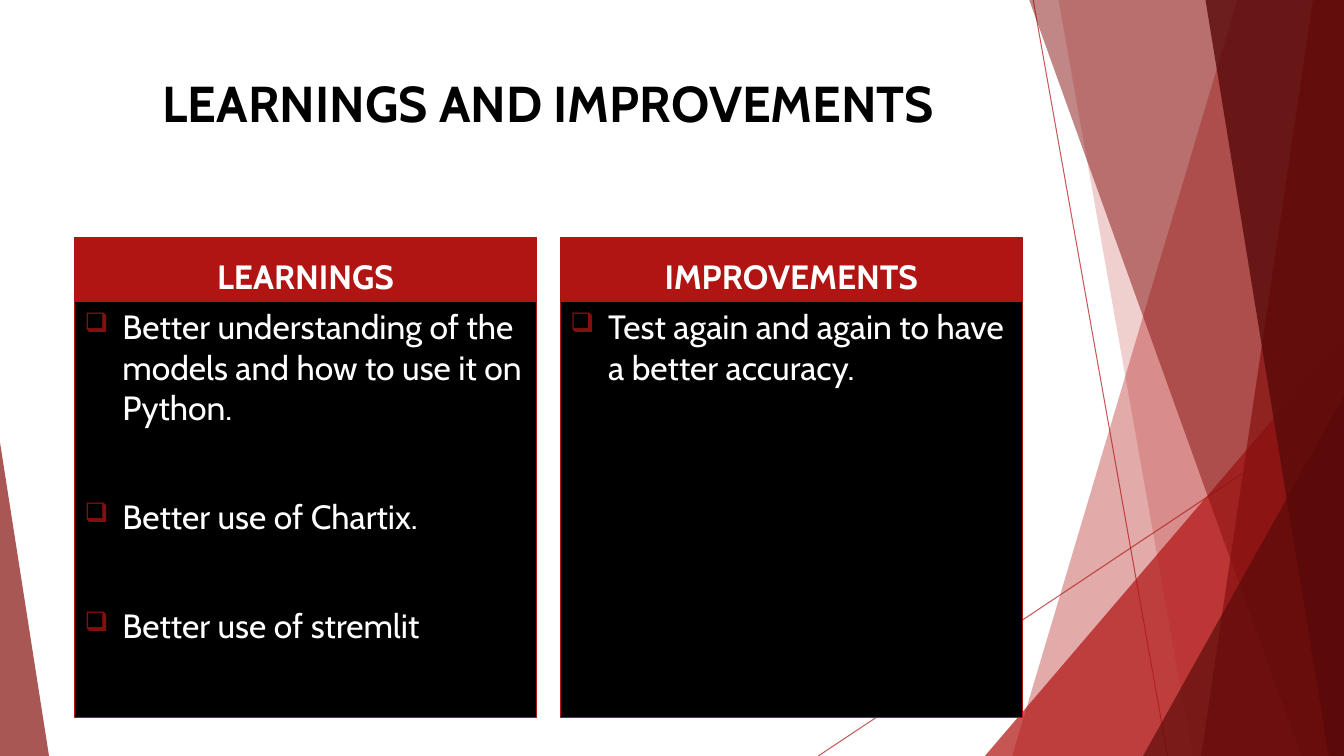
"""Build the slide on learnings and improvements."""
import lxml.etree
import pptx
import pptx.dml.color
import pptx.enum.shapes
import pptx.enum.text
import pptx.oxml.ns
import pptx.util

Pt = pptx.util.Pt
qn = pptx.oxml.ns.qn
SHAPE = pptx.enum.shapes.MSO_SHAPE
ANCHOR = pptx.enum.text.MSO_ANCHOR
ALIGN = pptx.enum.text.PP_ALIGN

FONT = "Cabin"
RED, DARK_RED, MAROON = "B01513", "84100E", "580A09"
BLACK, WHITE = "000000", "FFFFFF"
PAGE_WIDTH, PAGE_HEIGHT = 960, 540
BLEED = -0.6
COLUMN_WIDTH = 329.8
HEADING_TOP, HEADING_HEIGHT = 170, 45.3
BODY_HEIGHT = 297.4
INDENT = 27
ITEM_GAP = 49


def color(value):
    """Turn a hex string into a colour."""
    return pptx.dml.color.RGBColor.from_string(value)


def set_opacity(shape, percent):
    """Make the colours of a shape partly transparent."""
    for node in shape.element.spPr.iter(qn("a:srgbClr")):
        lxml.etree.SubElement(node, qn("a:alpha"), val=str(percent * 1000))


def paint(shape, fill, line=None, opacity=None):
    """Give a shape its fill, outline and opacity, without a shadow."""
    shape.shadow.inherit = False
    shape.fill.solid()
    shape.fill.fore_color.rgb = color(fill)
    if line:
        shape.line.color.rgb = color(line)
        shape.line.width = Pt(0.75)
    else:
        shape.line.fill.background()
    if opacity:
        set_opacity(shape, opacity)


def add_ray(page, start, end):
    """Draw a thin red line across the decoration."""
    ray = page.shapes.add_connector(
        pptx.enum.shapes.MSO_CONNECTOR.STRAIGHT, *map(Pt, start + end))
    ray.line.color.rgb = color(RED)
    ray.line.width = Pt(0.75)
    set_opacity(ray, 70)
    lxml.etree.SubElement(ray.element.spPr, qn("a:effectLst"))


def add_sheet(page, top_x, bottom_x, fill, opacity):
    """Draw a slanted sheet that reaches the right edge of the page."""
    builder = page.shapes.build_freeform(Pt(top_x), Pt(BLEED))
    corners = [(PAGE_WIDTH, BLEED), (PAGE_WIDTH, PAGE_HEIGHT), (bottom_x, PAGE_HEIGHT)]
    builder.add_line_segments([(Pt(x), Pt(y)) for x, y in corners])
    paint(builder.convert_to_shape(), fill, opacity=opacity)


def add_triangle(page, left, top, width, apex, fill, opacity):
    """Draw a triangle that stands on the bottom edge of the page."""
    triangle = page.shapes.add_shape(
        SHAPE.ISOSCELES_TRIANGLE, Pt(left), Pt(top), Pt(width), Pt(PAGE_HEIGHT - top))
    triangle.adjustments[0] = apex
    paint(triangle, fill, opacity=opacity)


def add_span(para, text, size, ink, bold=False):
    """Add one run of text."""
    span = para.add_run()
    span.text = text
    span.font.name = FONT
    span.font.size = Pt(size)
    span.font.bold = bold
    span.font.color.rgb = color(ink)


def add_bullet(para):
    """Give a paragraph a hanging box bullet."""
    props = para._p.get_or_add_pPr()
    props.set("marL", str(Pt(INDENT)))
    props.set("indent", str(-Pt(INDENT)))
    tint = lxml.etree.SubElement(props, qn("a:buClr"))
    lxml.etree.SubElement(tint, qn("a:srgbClr"), val=DARK_RED)
    lxml.etree.SubElement(props, qn("a:buSzPct"), val="80000")
    lxml.etree.SubElement(props, qn("a:buChar"), char="❑")


def add_title(page, text):
    """Add the slide title."""
    box = page.shapes.add_textbox(Pt(53.3), Pt(48.2), Pt(676.8), Pt(103.7))
    box.text_frame.word_wrap = True
    para = box.text_frame.paragraphs[0]
    para.alignment = ALIGN.CENTER
    add_span(para, text, 36, BLACK, bold=True)


def add_panel(page, left, top, height, fill, anchor):
    """Add a filled rectangle and return its text frame."""
    box = page.shapes.add_shape(
        SHAPE.RECTANGLE, Pt(left), Pt(top), Pt(COLUMN_WIDTH), Pt(height))
    paint(box, fill, line=RED)
    box.text_frame.word_wrap = True
    box.text_frame.vertical_anchor = anchor
    return box.text_frame


def add_column(page, left, heading, items):
    """Add a heading with a bulleted panel below it."""
    frame = add_panel(page, left, HEADING_TOP, HEADING_HEIGHT, RED, ANCHOR.BOTTOM)
    para = frame.paragraphs[0]
    para.alignment = ALIGN.CENTER
    add_span(para, heading, 24, WHITE, bold=True)
    frame = add_panel(
        page, left, HEADING_TOP + HEADING_HEIGHT, BODY_HEIGHT, BLACK, ANCHOR.TOP)
    for index, item in enumerate(items):
        para = frame.add_paragraph() if index else frame.paragraphs[0]
        para.alignment = ALIGN.LEFT
        para.space_before = Pt(ITEM_GAP if index else 0)
        add_bullet(para)
        add_span(para, item, 24, WHITE)


def add_decoration(page):
    """Draw the red facets at the sides of the page."""
    add_ray(page, (738, 0), (834, PAGE_HEIGHT))
    add_ray(page, (PAGE_WIDTH, 290), (584.5, PAGE_HEIGHT))
    add_sheet(page, 884, 723, RED, 36)
    add_sheet(page, 756, 852, RED, 20)
    add_triangle(page, 703.5, 240, 256.5, 1, RED, 72)
    add_sheet(page, 735, 929.5, DARK_RED, 50)
    add_sheet(page, 938, 858, DARK_RED, 70)
    add_sheet(page, 861, 949, MAROON, 80)
    add_triangle(page, 816.5, 283, 143.5, 1, MAROON, 66)
    add_triangle(page, 0, 316, 35, 0, DARK_RED, 70)


def main():
    """Build and save the deck."""
    deck = pptx.Presentation()
    deck.slide_width, deck.slide_height = Pt(PAGE_WIDTH), Pt(PAGE_HEIGHT)
    page = deck.slides.add_slide(deck.slide_layouts[6])
    add_decoration(page)
    add_title(page, "LEARNINGS AND IMPROVEMENTS")
    add_column(page, 53.3, "LEARNINGS", [
        "Better understanding of the models and how to use it on Python.",
        "Better use of Chartix.",
        "Better use of stremlit",
    ])
    add_column(page, 400.3, "IMPROVEMENTS", [
        "Test again and again to have a better accuracy.",
    ])
    deck.save("out.pptx")


if __name__ == "__main__":
    main()
